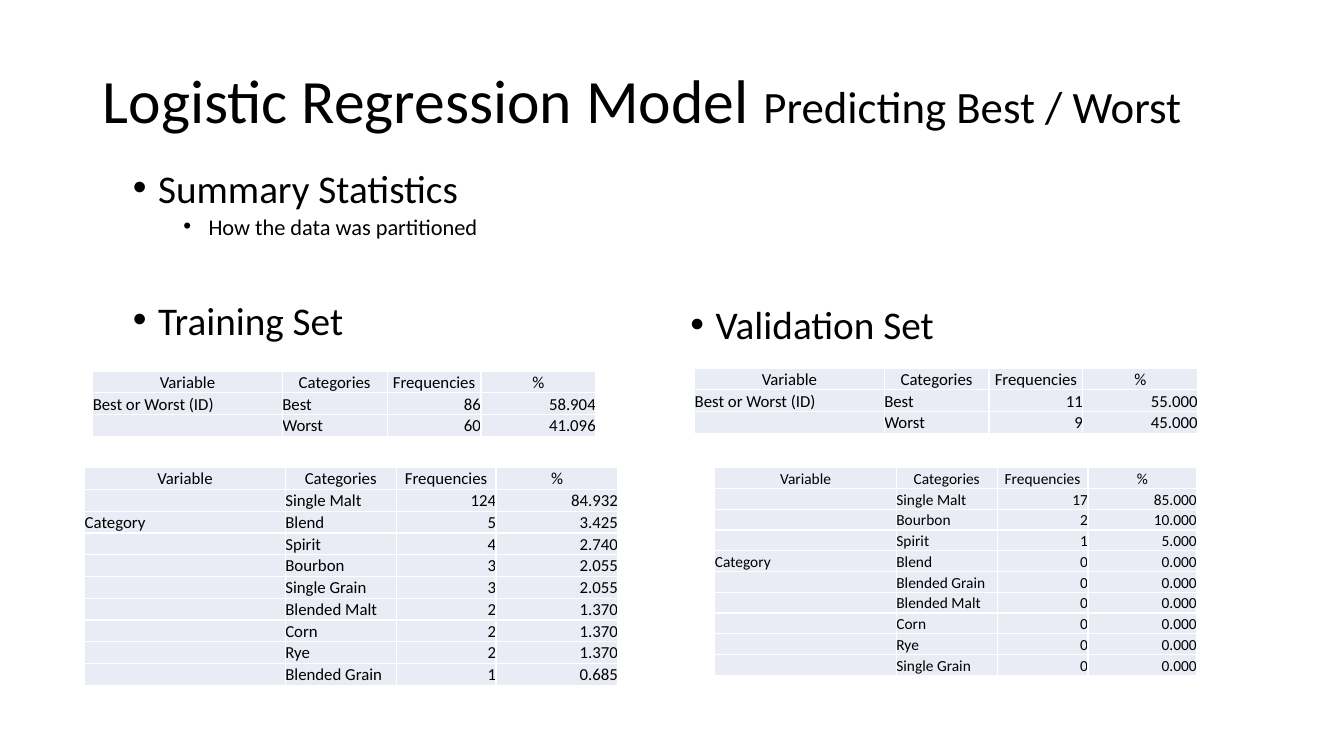
from lxml.etree import SubElement
from pptx import Presentation
from pptx.dml.color import RGBColor
from pptx.enum.text import MSO_ANCHOR, MSO_AUTO_SIZE, PP_ALIGN
from pptx.oxml import parse_xml
from pptx.oxml.ns import nsdecls, qn
from pptx.util import Pt

EMU_PER_PX = 9144  # 100 px to the inch
BLACK = RGBColor(0x00, 0x00, 0x00)
WHITE = RGBColor(0xFF, 0xFF, 0xFF)
PALE_BLUE = RGBColor(0xE9, 0xEB, 0xF5)

HEADER = ("Variable", "Categories", "Frequencies", "%")
COLUMN_ALIGNMENTS = (PP_ALIGN.LEFT, PP_ALIGN.LEFT, PP_ALIGN.RIGHT, PP_ALIGN.RIGHT)
OUTCOME_WIDTHS = (188, 104, 93, 114)

TRAINING_OUTCOMES = [
    ("Best or Worst (ID)", "Best", "86", "58.904"),
    ("", "Worst", "60", "41.096"),
]
VALIDATION_OUTCOMES = [
    ("Best or Worst (ID)", "Best", "11", "55.000"),
    ("", "Worst", "9", "45.000"),
]
TRAINING_CATEGORIES = [
    ("", "Single Malt", "124", "84.932"),
    ("Category", "Blend", "5", "3.425"),
    ("", "Spirit", "4", "2.740"),
    ("", "Bourbon", "3", "2.055"),
    ("", "Single Grain", "3", "2.055"),
    ("", "Blended Malt", "2", "1.370"),
    ("", "Corn", "2", "1.370"),
    ("", "Rye", "2", "1.370"),
    ("", "Blended Grain", "1", "0.685"),
]
VALIDATION_CATEGORIES = [
    ("", "Single Malt", "17", "85.000"),
    ("", "Bourbon", "2", "10.000"),
    ("", "Spirit", "1", "5.000"),
    ("Category", "Blend", "0", "0.000"),
    ("", "Blended Grain", "0", "0.000"),
    ("", "Blended Malt", "0", "0.000"),
    ("", "Corn", "0", "0.000"),
    ("", "Rye", "0", "0.000"),
    ("", "Single Grain", "0", "0.000"),
]


def px(length):
    return round(length * EMU_PER_PX)


class SlideBuilder:
    def __init__(self, presentation, font_name):
        self.font_name = font_name
        self.slide = presentation.slides.add_slide(presentation.slide_layouts[5])

    def add_run(self, paragraph, text, size):
        run = paragraph.add_run()
        run.text = text
        run.font.name = self.font_name
        run.font.size = Pt(size)
        run.font.color.rgb = BLACK

    def title(self, left, top, width, height, runs):
        shape = self.slide.shapes.title
        shape.left, shape.top = px(left), px(top)
        shape.width, shape.height = px(width), px(height)
        frame = shape.text_frame
        frame.auto_size = MSO_AUTO_SIZE.NONE
        frame.vertical_anchor = MSO_ANCHOR.MIDDLE
        paragraph = frame.paragraphs[0]
        paragraph.alignment = PP_ALIGN.LEFT
        paragraph.line_spacing = 0.9
        for text, size in runs:
            self.add_run(paragraph, text, size)

    def bullets(self, left, top, width, height, items, line_spacing, top_inset=5):
        """Add a bulleted text box; each item is (text, size, level, space before)."""
        shape = self.slide.shapes.add_textbox(px(left), px(top), px(width), px(height))
        frame = shape.text_frame
        frame.word_wrap = True
        frame.margin_top = px(top_inset)
        for index, (text, size, level, space_before) in enumerate(items):
            paragraph = frame.add_paragraph() if index else frame.paragraphs[0]
            paragraph.level = level
            paragraph.line_spacing = line_spacing
            paragraph.space_before = Pt(space_before)
            properties = paragraph._p.get_or_add_pPr()
            properties.set("marL", str(px(25 + 50 * level)))
            properties.set("indent", str(px(-25)))
            SubElement(properties, qn("a:buFont")).set("typeface", "Arial")
            SubElement(properties, qn("a:buChar")).set("char", "•")
            self.add_run(paragraph, text, size)

    def table(self, left, top, height, widths, rows, size):
        rows = [HEADER, *rows]
        frame = self.slide.shapes.add_table(
            len(rows), len(widths), px(left), px(top), px(sum(widths)), px(height))
        table = frame.table
        table.first_row = table.horz_banding = False
        for column, width in zip(table.columns, widths):
            column.width = px(width)
        for row_index, values in enumerate(rows):
            table.rows[row_index].height = px(height / len(rows))
            for column_index, value in enumerate(values):
                alignment = COLUMN_ALIGNMENTS[column_index] if row_index else PP_ALIGN.CENTER
                self.cell(table.cell(row_index, column_index), value, alignment, size)

    def cell(self, cell, text, alignment, size):
        cell.margin_left = cell.margin_right = cell.margin_top = cell.margin_bottom = 0
        cell.vertical_anchor = MSO_ANCHOR.BOTTOM
        cell.fill.solid()
        cell.fill.fore_color.rgb = PALE_BLUE
        properties = cell._tc.get_or_add_tcPr()
        for index, side in enumerate("LRTB"):
            properties.insert(index, parse_xml(
                f'<a:ln{side} {nsdecls("a")} w="{Pt(1)}"><a:solidFill>'
                f'<a:srgbClr val="{WHITE}"/></a:solidFill></a:ln{side}>'))
        paragraph = cell.text_frame.paragraphs[0]
        paragraph.alignment = alignment
        if text:
            self.add_run(paragraph, text, size)
        else:
            # Keeps an empty cell from making its row taller
            SubElement(paragraph._p, qn("a:endParaRPr")).set("sz", str(size * 100))


def main():
    presentation = Presentation()
    presentation.slide_width, presentation.slide_height = px(1333), px(750)
    builder = SlideBuilder(presentation, "Calibri")

    builder.title(92, 30, 1150, 145, [
        ("Logistic Regression Model ", 44), ("Predicting Best / Worst", 32)])
    builder.bullets(675, 182, 567, 185, [("Validation Set", 28, 0, 0)], 0.9, top_inset=121)
    builder.bullets(122, 167, 567, 185, [
        ("Summary Statistics", 28, 0, 0),
        ("How the data was partitioned", 16, 1, 5),
        ("Training Set", 28, 0, 47),
    ], 0.8)

    builder.table(92, 368, 65, OUTCOME_WIDTHS, TRAINING_OUTCOMES, 12)
    builder.table(84, 464, 216, (199, 110, 99, 121), TRAINING_CATEGORIES, 12)
    builder.table(689, 365, 65, OUTCOME_WIDTHS, VALIDATION_OUTCOMES, 12)
    builder.table(709, 464, 206, (180, 100, 90, 108), VALIDATION_CATEGORIES, 11)

    presentation.save("out.pptx")


if __name__ == "__main__":
    main()
